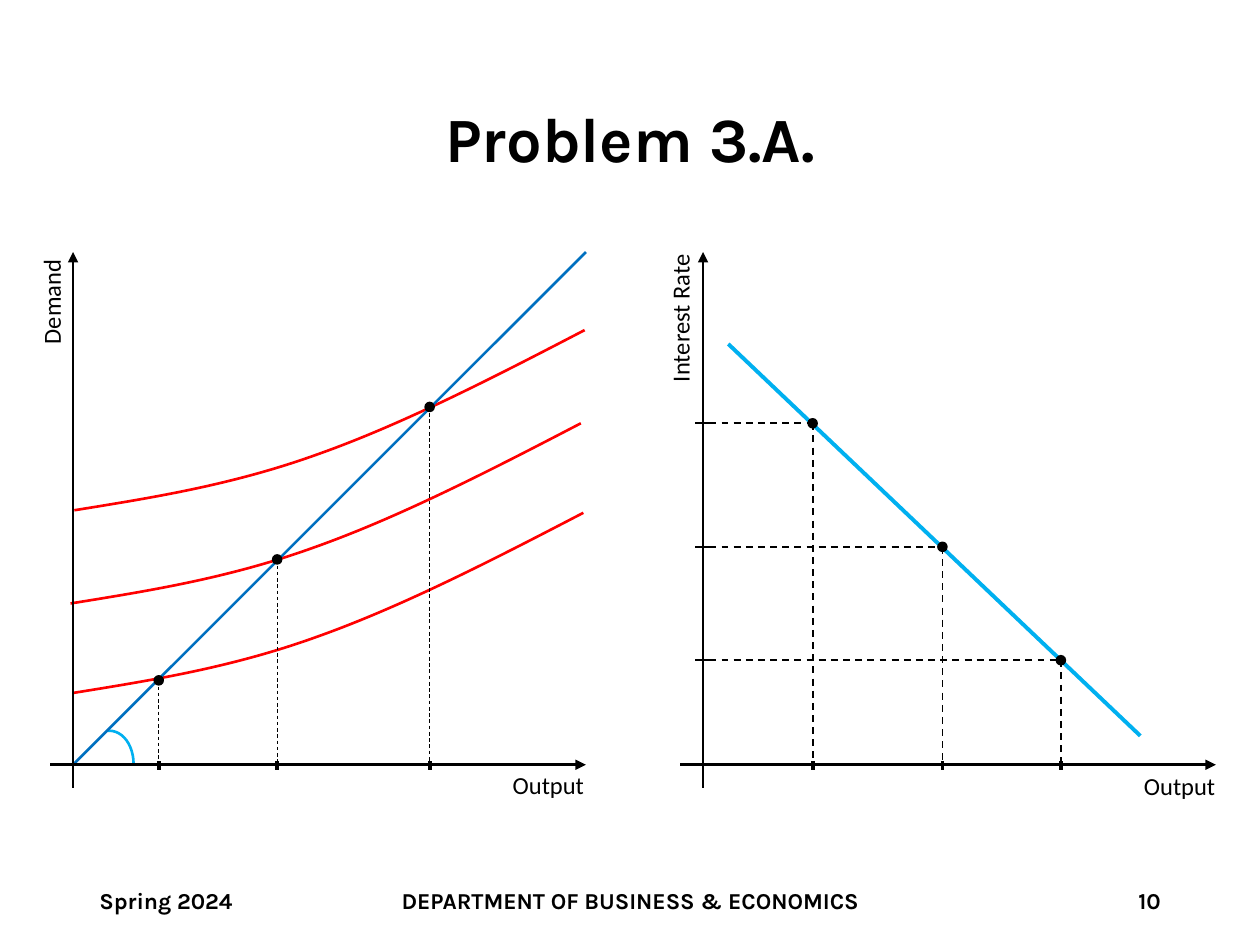
from lxml import etree
from pptx import Presentation
from pptx import util as u
from pptx.dml import color
from pptx.enum import dml, shapes, text
from pptx.oxml import ns

COLORS = {"black": "000000", "curve": "FF0000", "diagonal": "0070C0", "sky": "00B0F0"}
DOT = 0.07
AXIS_Y = 6.07

deck = Presentation()
deck.slide_width, deck.slide_height = u.Inches(10), u.Inches(7.5)
page = deck.slides.add_slide(deck.slide_layouts[5])


def add_line(start, end, width, name="black", dashed=False, arrow=False):
    ends = [u.Inches(value) for value in (*start, *end)]
    line = page.shapes.add_connector(shapes.MSO_CONNECTOR.STRAIGHT, *ends)
    line.line.color.rgb = color.RGBColor.from_string(COLORS[name])
    line.line.width = u.Pt(width)
    if dashed:
        line.line.dash_style = dml.MSO_LINE.DASH
    if arrow:
        etree.SubElement(line.line._get_or_add_ln(), ns.qn("a:tailEnd"), type="triangle")
    etree.SubElement(line._element.spPr, ns.qn("a:effectLst"))


def add_label(place, words, font, size, bold=False, align=text.PP_ALIGN.LEFT):
    box = page.shapes.add_textbox(*[u.Inches(value) for value in place])
    frame = box.text_frame
    frame.text = words
    para = frame.paragraphs[0]
    para.alignment = align
    span = para.runs[0]
    span.font.name, span.font.size, span.font.bold = font, u.Pt(size), bold
    span.font.color.rgb = color.RGBColor.from_string(COLORS["black"])
    return box


title = page.shapes.title
title.left, title.top = u.Inches(0.69), u.Inches(0.4)
title.width, title.height = u.Inches(8.62), u.Inches(1.45)
title.text_frame.text = "Problem 3.A."
title.text_frame.vertical_anchor = text.MSO_ANCHOR.MIDDLE
para = title.text_frame.paragraphs[0]
para.alignment = text.PP_ALIGN.CENTER
para.line_spacing = 0.9
span = para.runs[0]
span.font.name, span.font.size, span.font.bold = "Karla", u.Pt(36), True
span.font.color.rgb = color.RGBColor.from_string(COLORS["black"])

for left, width, words, align in (
    (0.69, 2.25, "Spring 2024", text.PP_ALIGN.LEFT),
    (1.85, 6.3, "DEPARTMENT OF BUSINESS & ECONOMICS", text.PP_ALIGN.CENTER),
    (7.06, 2.25, "10", text.PP_ALIGN.RIGHT),
):
    footer = add_label((left, 6.95, width, 0.4), words, "Karla", 13, True, align)
    footer.text_frame.word_wrap = True
    footer.text_frame.vertical_anchor = text.MSO_ANCHOR.MIDDLE

angle = page.shapes.add_shape(
    shapes.MSO_SHAPE.ARC, u.Inches(0.68), u.Inches(5.8), u.Inches(0.38), u.Inches(0.52))
angle.adjustments[0], angle.adjustments[1] = 159.741, 0
angle.shadow.inherit = False
angle.fill.background()
angle.line.color.rgb = color.RGBColor.from_string(COLORS["sky"])
angle.line.width = u.Pt(1.5)

bends = [(0, 1.43), (0.62, 1.33), (1.25, 1.23), (1.92, 0.99), (2.6, 0.75), (3.32, 0.38), (4.05, 0)]
for left, top in ((0.59, 2.62), (0.56, 3.36), (0.58, 4.07)):
    points = [(u.Inches(left + x), u.Inches(top + y)) for x, y in bends]
    builder = page.shapes.build_freeform(*points[0])
    builder.add_line_segments(points[1:], close=False)
    curve = builder.convert_to_shape()
    segments = list(curve._element.iter(ns.qn("a:lnTo")))
    outline = segments[0].getparent()
    for first in range(0, len(segments), 3):
        bezier = etree.SubElement(outline, ns.qn("a:cubicBezTo"))
        for segment in segments[first:first + 3]:
            bezier.append(segment[0])
            outline.remove(segment)
    curve.shadow.inherit = False
    curve.fill.background()
    curve.line.color.rgb = color.RGBColor.from_string(COLORS["curve"])
    curve.line.width = u.Pt(1.5)

add_line((0.58, AXIS_Y), (4.65, 2), 1.5, "diagonal")
add_line((5.78, 2.73), (9.05, 5.84), 2.25, "sky")

for left in (0.4, 5.4):
    add_line((left, AXIS_Y), (left + 4.25, AXIS_Y), 1.5, arrow=True)
    add_line((left + 0.18, 6.25), (left + 0.18, 2), 1.5, arrow=True)

demand_points = [(1.26, 5.4), (2.2, 4.44), (3.41, 3.23)]
rate_points = [(6.45, 3.36), (7.48, 4.34), (8.42, 5.24)]
for points, dash_width in ((demand_points, 0.5), (rate_points, 1)):
    for x, y in points:
        add_line((x, y), (x, 6.06), dash_width, dashed=True)
        add_line((x, 6.04), (x, 6.11), 2.25)
        if points is rate_points:
            add_line((5.52, y), (5.64, y), 1)
            add_line((5.63, y), (x, y), dash_width, dashed=True)
        dot = page.shapes.add_shape(
            shapes.MSO_SHAPE.OVAL, u.Inches(x - DOT / 2), u.Inches(y - DOT / 2),
            u.Inches(DOT), u.Inches(DOT))
        dot.shadow.inherit = False
        dot.fill.solid()
        dot.fill.fore_color.rgb = color.RGBColor.from_string(COLORS["black"])
        dot.line.color.rgb = color.RGBColor.from_string(COLORS["black"])
        dot.line.width = u.Pt(1)

for place, words, turn in (
    ((3.97, 6.06, 0.78, 0.34), "Output", 0),
    ((-0.03, 2.22, 0.88, 0.34), "Demand", 270),
    ((8.98, 6.07, 0.78, 0.34), "Output", 0),
    ((4.76, 2.32, 1.28, 0.34), "Interest Rate", 270),
):
    label = add_label(place, words, "Calibri", 14)
    label.text_frame.word_wrap = False
    label.text_frame.auto_size = text.MSO_AUTO_SIZE.SHAPE_TO_FIT_TEXT
    label.rotation = turn

deck.save("out.pptx")
